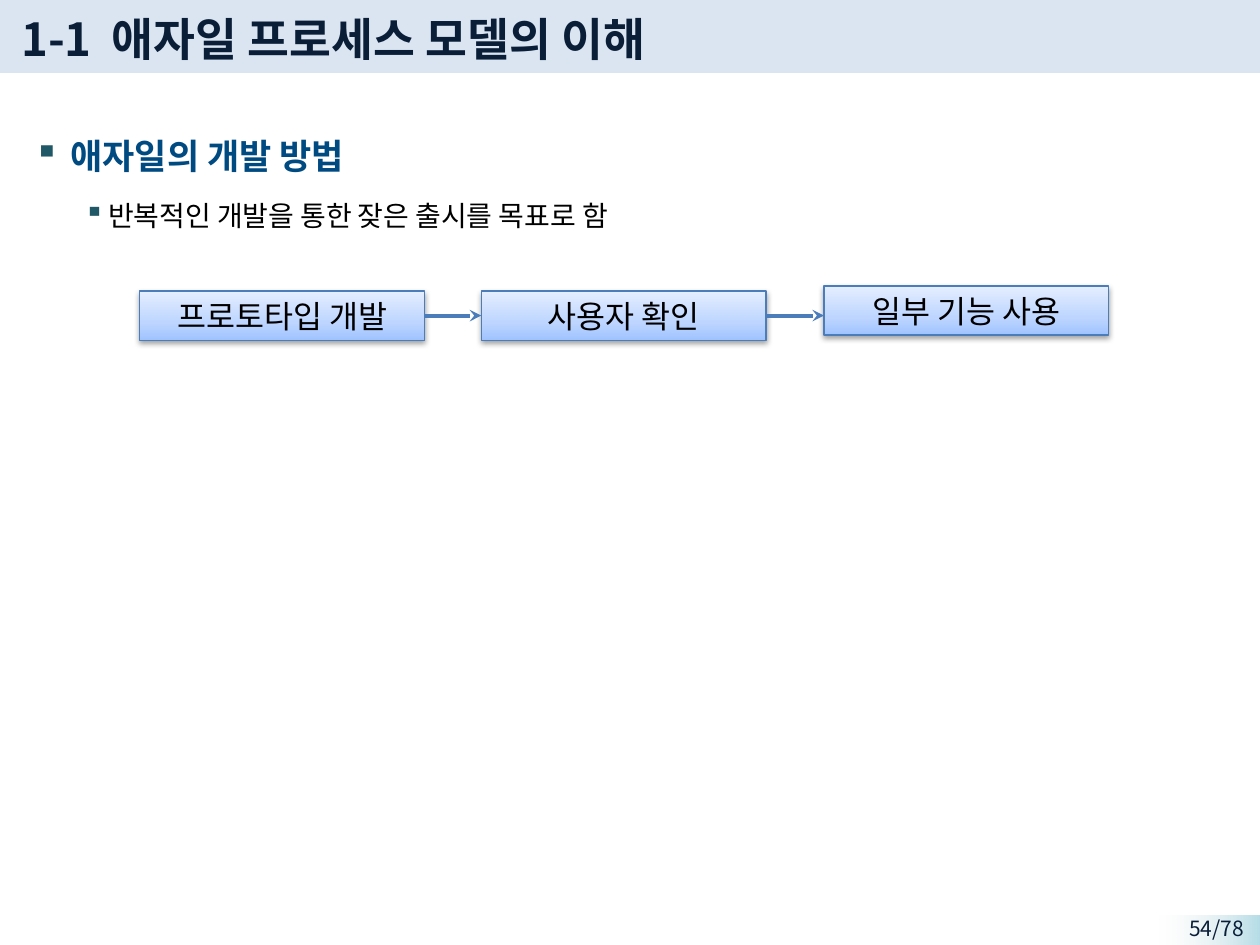
from typing import NamedTuple

from lxml import etree
from pptx import Presentation, util as u
from pptx.dml.color import RGBColor
from pptx.enum import shapes as sh, text as tx
from pptx.oxml import ns

FONT = "Noto Sans CJK KR"
HEX = {
    "band": "DAE5F1", "navy": "0A1E38", "head": "004A82", "black": "000000",
    "mark": "205867", "edge": "4A7DBA",
}
BLUES = [(0, "9FC3FF", 100), (35, "BDD5FF", 100), (100, "E4EEFF", 100)]
FADE = [(0, "B6DDE7", 100), (100, "F2F2F2", 0)]


class Step(NamedTuple):
    label: str
    left: float
    top: float


class Point(NamedTuple):
    label: str
    size: float
    color: str
    bold: bool
    margin: float
    hang: float
    before: float


STEPS = [
    Step("프로토타입 개발", 1.11, 2.31),
    Step("사용자 확인", 3.82, 2.31),
    Step("일부 기능 사용", 6.54, 2.27),
]
POINTS = [
    Point("애자일의 개발 방법", 20, "head", True, 0.39, 0.29, 0),
    Point("반복적인 개발을 통한 잦은 출시를 목표로 함", 16, "black", False, 0.69, 0.19, 3.2),
]


def rgb(name: str) -> RGBColor:
    return RGBColor.from_string(HEX[name])


def add(parent, tag: str, **attrs):
    return etree.SubElement(parent, ns.qn(tag), {k: str(v) for k, v in attrs.items()})


def style(para, size: float, color: str, bold: bool = False) -> None:
    font = para.font
    font.size, font.bold, font.name = u.Pt(size), bold, FONT
    font.color.rgb = rgb(color)
    add(para._p.pPr.find(ns.qn("a:defRPr")), "a:ea", typeface=FONT)


def blend(shape, stops: list, angle: int) -> None:
    shape.fill.background()
    old = shape._element.spPr.find(ns.qn("a:noFill"))
    grad = etree.Element(ns.qn("a:gradFill"), rotWithShape="1")
    row = add(grad, "a:gsLst")
    for pos, color, alpha in stops:
        clr = add(add(row, "a:gs", pos=pos * 1000), "a:srgbClr", val=color)
        if alpha < 100:
            add(clr, "a:alpha", val=alpha * 1000)
    add(grad, "a:lin", ang=angle * 60000, scaled=0)
    old.getparent().replace(old, grad)


def rect(slide, left: float, top: float, wide: float, high: float):
    box = slide.shapes.add_shape(
        sh.MSO_SHAPE.RECTANGLE, *map(u.Inches, (left, top, wide, high)))
    box.shadow.inherit = False
    box.line.fill.background()
    return box


def frame(slide, left: float, top: float, wide: float, high: float):
    area = slide.shapes.add_textbox(*map(u.Inches, (left, top, wide, high))).text_frame
    area.word_wrap = True
    return area


def draw_step(slide, step: Step):
    box = rect(slide, step.left, step.top, 2.26, 0.39)
    blend(box, BLUES, 270)
    box.line.color.rgb, box.line.width = rgb("edge"), u.Pt(0.75)
    cast = add(box._element.spPr.find(ns.qn("a:effectLst")), "a:outerShdw",
               blurRad=u.Pt(3.1), dist=u.Pt(1.6), dir=90 * 60000, rotWithShape=0)
    add(add(cast, "a:srgbClr", val=HEX["black"]), "a:alpha", val=37000)
    area = box.text_frame
    area.vertical_anchor = tx.MSO_ANCHOR.MIDDLE
    para = area.paragraphs[0]
    para.text, para.alignment = step.label, tx.PP_ALIGN.CENTER
    style(para, 18, "black")
    return box


def draw_arrow(slide, start, end) -> None:
    # Level with the middle of the box it leaves
    y = start.top + start.height // 2
    arrow = slide.shapes.add_connector(
        sh.MSO_CONNECTOR.STRAIGHT, start.left + start.width, y, end.left, y)
    arrow.begin_connect(start, 3)
    if end.top == start.top:
        arrow.end_connect(end, 1)
    else:
        arrow.begin_x, arrow.begin_y = start.left + start.width, y
    arrow.line.color.rgb, arrow.line.width = rgb("edge"), u.Pt(2.25)
    add(arrow.line._get_or_add_ln(), "a:tailEnd", type="stealth")
    add(arrow._element.spPr, "a:effectLst")


def draw_point(para, point: Point) -> None:
    para.text, para.line_spacing = point.label, 1.5
    if point.before:
        para.space_before = u.Pt(point.before)
    props = para._p.get_or_add_pPr()
    props.set("marL", str(u.Inches(point.margin)))
    props.set("indent", str(-u.Inches(point.hang)))
    add(add(props, "a:buClr"), "a:srgbClr", val=HEX["mark"])
    add(props, "a:buChar", char="▪")
    style(para, point.size, point.color, point.bold)


def main() -> None:
    deck = Presentation()
    deck.slide_width, deck.slide_height = u.Inches(10), u.Inches(7.5)
    slide = deck.slides.add_slide(deck.slide_layouts[6])

    # Title band
    band = rect(slide, 0, -0.02, 10, 0.6)
    band.fill.solid()
    band.fill.fore_color.rgb = rgb("band")
    area = frame(slide, 0.07, 0.04, 8.51, 0.52)
    area.vertical_anchor = tx.MSO_ANCHOR.MIDDLE
    title = area.paragraphs[0]
    title.text = "1-1\t애자일 프로세스 모델의 이해"
    tabs = add(title._p.get_or_add_pPr(), "a:tabLst")
    add(tabs, "a:tab", pos=u.Inches(0.72), algn="l")
    style(title, 26, "navy", True)

    # Page number
    blend(rect(slide, 9.2, 7.27, 0.8, 0.24), FADE, 180)
    page = frame(slide, 9.05, 7.22, 0.92, 0.23).paragraphs[0]
    page.text, page.alignment = "54/78", tx.PP_ALIGN.RIGHT
    style(page, 12, "navy")

    # Bullets
    area = frame(slide, 0.07, 0.85, 9.8, 6.2)
    for i, point in enumerate(POINTS):
        draw_point(area.add_paragraph() if i else area.paragraphs[0], point)

    # Process steps
    boxes = [draw_step(slide, step) for step in STEPS]
    for start, end in zip(boxes, boxes[1:]):
        draw_arrow(slide, start, end)

    deck.save("out.pptx")


if __name__ == "__main__":
    main()
